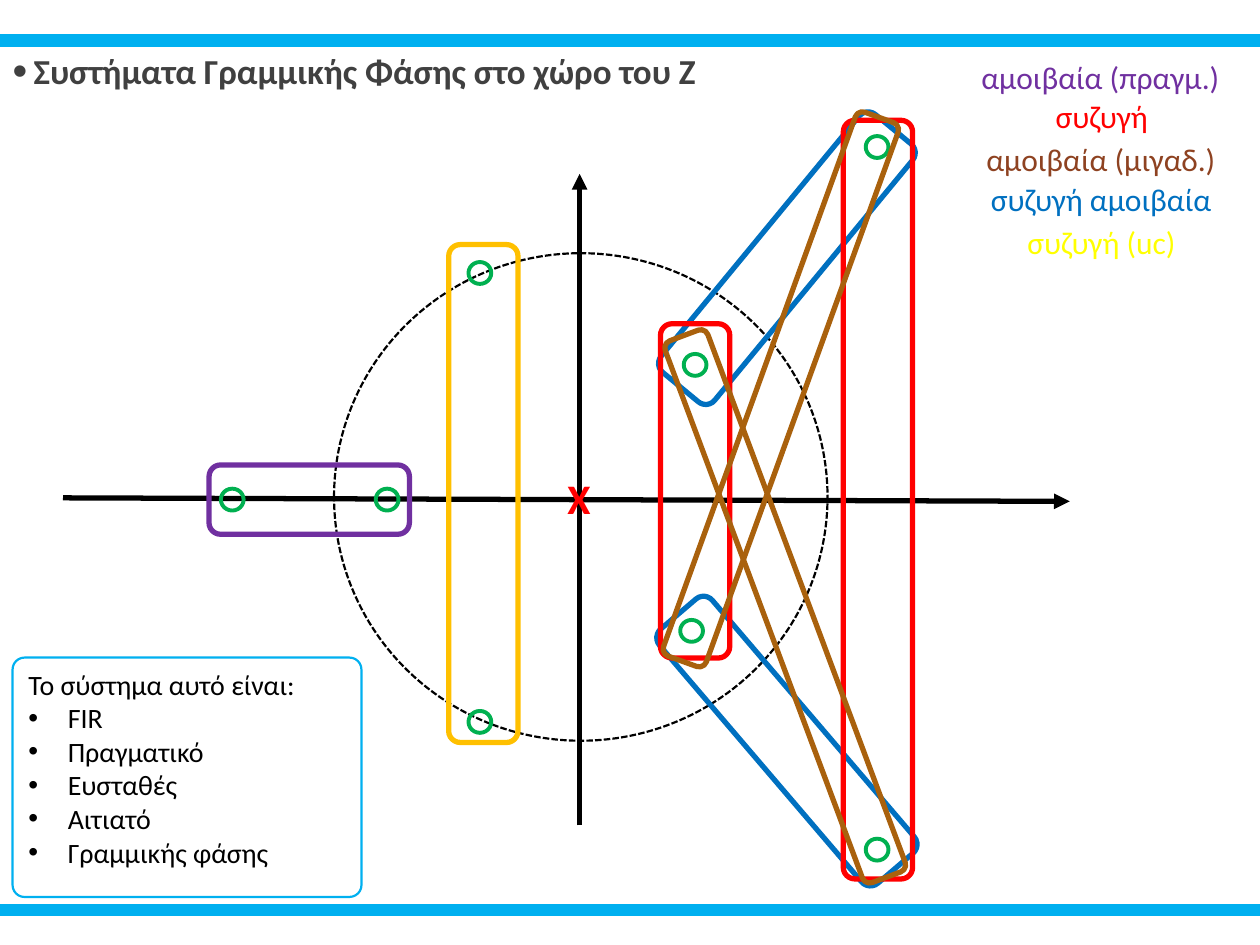
import pptx
import pptx.util
import pptx.dml.color
import pptx.enum.dml
import pptx.enum.shapes
import pptx.enum.text
import pptx.oxml.ns
import lxml.etree

Pt = pptx.util.Pt
RGBColor = pptx.dml.color.RGBColor
SHAPE = pptx.enum.shapes.MSO_SHAPE
qn = pptx.oxml.ns.qn

BLACK = RGBColor(0x00, 0x00, 0x00)
WHITE = RGBColor(0xFF, 0xFF, 0xFF)
GRAY = RGBColor(0x40, 0x40, 0x40)
CYAN = RGBColor(0x00, 0xB0, 0xF0)
GREEN = RGBColor(0x00, 0xB0, 0x50)
BLUE = RGBColor(0x00, 0x70, 0xC0)
RED = RGBColor(0xFF, 0x00, 0x00)
PURPLE = RGBColor(0x70, 0x30, 0xA0)
ORANGE = RGBColor(0xFF, 0xC0, 0x00)
OCHRE = RGBColor(0xA9, 0x61, 0x0D)
BROWN = RGBColor(0x8E, 0x42, 0x21)
YELLOW = RGBColor(0xFF, 0xFF, 0x00)

ZEROS = [(66, -77), (170, 200), (64, 75), (170, -201.5),
         (-110, 0), (-198.5, 0), (-57, -129.5), (-57, 127)]

GROUPS = [
    (118.5, -138, 191, 39.6, 309.5, BLUE),
    (118.5, 138, 191, 39.6, 49.5, BLUE),
    (66, -5, 191, 39.6, 270, RED),
    (170.5, 0, 433.5, 39.6, 270, RED),
    (-154.5, 0, 114.5, 39.6, 0, PURPLE),
    (-55, -3.5, 284.5, 39.6, 270, ORANGE),
    (117.5, 61, 330.5, 26, 249.5, OCHRE),
    (115, -63, 330.5, 26, 109.9, OCHRE),
]

LEGEND = [
    ("αμοιβαία (πραγμ.)", 0, 152.6, PURPLE),
    ("συζυγή", 22.3, 67.7, RED),
    ("αμοιβαία (μιγαδ.)", 46.8, 146.9, BROWN),
    ("συζυγή αμοιβαία", 69.9, 141.8, BLUE),
    ("συζυγή (uc)", 94.3, 100, YELLOW),
]

PROPERTIES = ["FIR", "Πραγματικό", "Ευσταθές", "Αιτιατό", "Γραμμικής φάσης"]


def add_shape(slide, kind, left, top, width, height, line, weight, fill=None):
    shape = slide.shapes.add_shape(kind, Pt(left), Pt(top), Pt(width), Pt(height))
    shape.shadow.inherit = False
    if fill is None:
        shape.fill.background()
    else:
        shape.fill.solid()
        shape.fill.fore_color.rgb = fill
    if line is None:
        shape.line.fill.background()
    else:
        shape.line.color.rgb = line
        shape.line.width = Pt(weight)
    return shape


def add_centered(slide, kind, x, y, width, height, line, weight):
    return add_shape(slide, kind, x - width / 2, y - height / 2, width, height, line, weight)


def style(paragraph, size, color, bold=False):
    paragraph.alignment = pptx.enum.text.PP_ALIGN.LEFT
    paragraph.font.name = "Calibri"
    paragraph.font.size = Pt(size)
    paragraph.font.bold = bold
    paragraph.font.color.rgb = color


def add_bullet(paragraph, margin, percent=100):
    properties = paragraph._p.get_or_add_pPr()
    properties.set("marL", str(Pt(margin)))
    properties.set("indent", str(-Pt(margin)))
    lxml.etree.SubElement(properties, qn("a:buSzPct")).set("val", str(percent * 1000))
    lxml.etree.SubElement(properties, qn("a:buFont")).set("typeface", "Arial")
    lxml.etree.SubElement(properties, qn("a:buChar")).set("char", "•")


def write_label(shape, text, size, color, bold=False):
    frame = shape.text_frame
    frame.word_wrap = False
    frame.auto_size = pptx.enum.text.MSO_AUTO_SIZE.SHAPE_TO_FIT_TEXT
    frame.text = text
    style(frame.paragraphs[0], size, color, bold)


def add_axis(slide, x1, y1, x2, y2):
    axis = slide.shapes.add_connector(
        pptx.enum.shapes.MSO_CONNECTOR.STRAIGHT, Pt(x1), Pt(y1), Pt(x2), Pt(y2))
    axis.line.color.rgb = BLACK
    axis.line.width = Pt(3)
    lxml.etree.SubElement(axis.line._get_or_add_ln(), qn("a:tailEnd")).set("type", "triangle")
    lxml.etree.SubElement(axis._element.spPr, qn("a:effectLst"))


def add_title(slide, left, top, width, height):
    box = slide.shapes.add_textbox(Pt(left), Pt(top), Pt(width), Pt(height))
    frame = box.text_frame
    frame.word_wrap = True
    frame.margin_left = frame.margin_right = 0
    frame.text = "Συστήματα Γραμμικής Φάσης στο χώρο του Ζ"
    paragraph = frame.paragraphs[0]
    paragraph.line_spacing = 0.9
    add_bullet(paragraph, 12, 120)
    style(paragraph, 20, GRAY, True)


def add_bands(slide, width, tops, height):
    for top in tops:
        add_shape(slide, SHAPE.RECTANGLE, 0, top, width, height, CYAN, 1.25, CYAN)


def add_z_plane(slide, left, top, width, height):
    x, y = left + 295.2, top + height / 2
    add_axis(slide, x, top + height, x, top)
    add_axis(slide, left, y - 1, left + width, y + 1)
    circle = add_centered(slide, SHAPE.OVAL, x + 0.7, y - 1.5, 282, 278.6, BLACK, 1.25)
    circle.line.dash_style = pptx.enum.dml.MSO_LINE.SQUARE_DOT
    pole = slide.shapes.add_textbox(Pt(x - 14), Pt(y - 19), Pt(28), Pt(36))
    write_label(pole, "X", 24, RED, True)
    for dx, dy in ZEROS:
        add_centered(slide, SHAPE.OVAL, x + dx, y + dy, 13, 12.5, GREEN, 2.25)
    for dx, dy, length, breadth, angle, color in GROUPS:
        group = add_centered(
            slide, SHAPE.ROUNDED_RECTANGLE, x + dx, y + dy, length, breadth, color, 3)
        group.rotation = angle


def add_legend(slide, left, top, width, row_height):
    for text, offset, row_width, color in LEGEND:
        row = add_shape(slide, SHAPE.RECTANGLE, left + (width - row_width) / 2, top + offset,
                        row_width, row_height, None, 0, WHITE if color == YELLOW else None)
        write_label(row, text, 18, color)
    run = row.text_frame.paragraphs[0].runs[0]
    outline = lxml.etree.SubElement(run._r.get_or_add_rPr(), qn("a:ln"))
    outline.set("w", str(Pt(0.75)))
    fill = lxml.etree.SubElement(outline, qn("a:solidFill"))
    lxml.etree.SubElement(fill, qn("a:srgbClr")).set("val", str(ORANGE))
    run.font.color.rgb = YELLOW


def add_properties(slide, left, top, width, height):
    panel = add_shape(slide, SHAPE.ROUNDED_RECTANGLE, left, top, width, height, CYAN, 1.25, WHITE)
    panel.adjustments[0] = 0.05
    frame = panel.text_frame
    frame.word_wrap = True
    frame.vertical_anchor = pptx.enum.text.MSO_ANCHOR.TOP
    frame.text = "\n".join(["Το σύστημα αυτό είναι:"] + PROPERTIES)
    for paragraph in frame.paragraphs[1:]:
        add_bullet(paragraph, 22.5)
    for paragraph in frame.paragraphs:
        style(paragraph, 16, BLACK)


def main():
    presentation = pptx.Presentation()
    presentation.slide_width = Pt(720)
    presentation.slide_height = Pt(540)
    slide = presentation.slides.add_slide(presentation.slide_layouts[6])
    add_title(slide, 7.2, 27.4, 500, 32)
    add_bands(slide, 720, (20.2, 517), 5.8)
    add_z_plane(slide, 36, 99.4, 575.3, 372.2)
    add_legend(slide, 553.7, 29.5, 152.6, 29)
    add_properties(slide, 7.2, 375.8, 199.4, 136.8)
    presentation.save("out.pptx")


if __name__ == "__main__":
    main()
